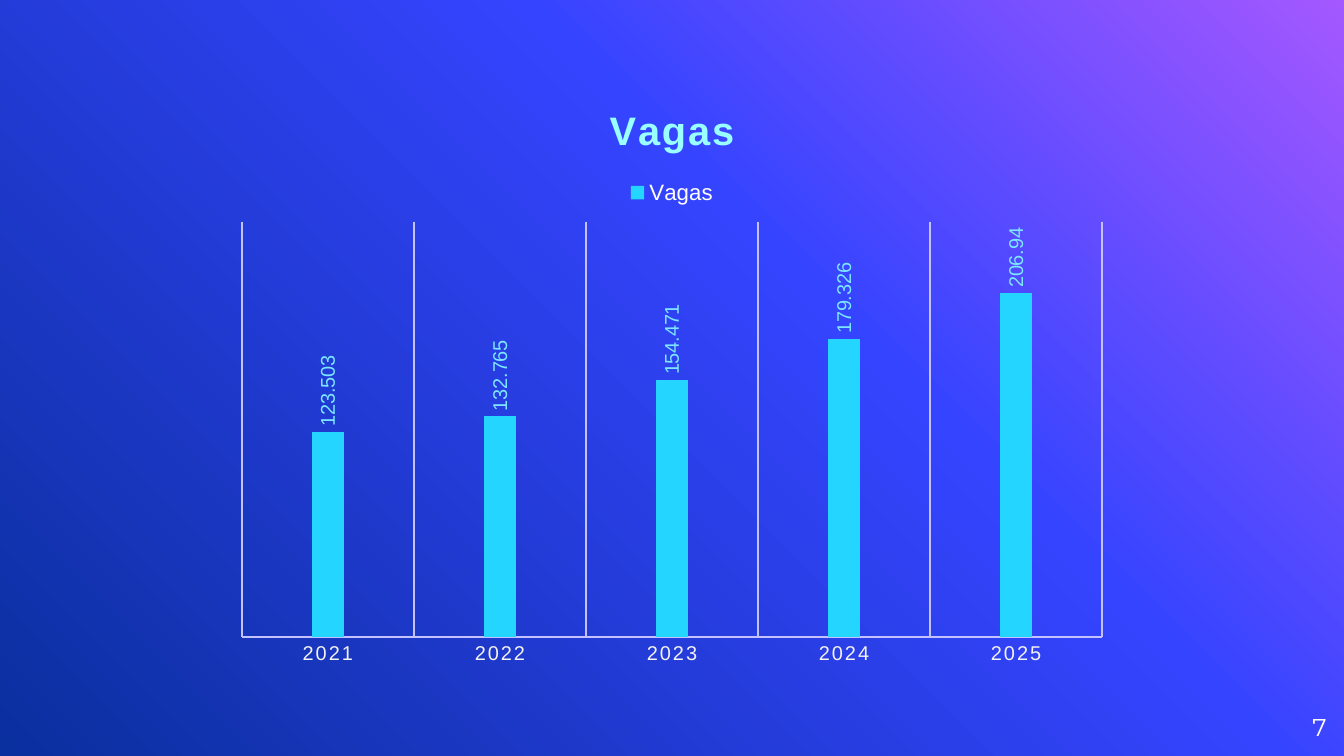
from copy import deepcopy
from dataclasses import dataclass

from pptx import Presentation
from pptx.chart.data import CategoryChartData
from pptx.dml.color import RGBColor
from pptx.enum.chart import (XL_CHART_TYPE, XL_LABEL_POSITION,
                             XL_LEGEND_POSITION, XL_TICK_LABEL_POSITION,
                             XL_TICK_MARK)
from pptx.enum.text import MSO_ANCHOR, PP_ALIGN
from pptx.oxml.ns import qn
from pptx.util import Pt


@dataclass(frozen=True)
class Theme:
    gradient: tuple = ((0, "A458FF"), (39, "3544FF"), (100, "0A2F9E"))
    white: str = "FFFFFF"
    base: str = "050060"
    bar: str = "24D6FF"
    value: str = "7CE6FF"
    title: str = "99FFFF"
    category: str = "F2F2F2"
    grid: str = "C4C1FF"
    chart_font: str = "Arial"
    page_font: str = "Montserrat"
    base_size: float = 10
    label_size: float = 10.7
    legend_size: float = 11.9
    page_size: float = 13
    title_size: float = 21.3
    spacing: str = "120"


def style_font(font, name, size, color, bold=False):
    font.name = name
    font.size = Pt(size)
    font.bold = bold
    font.color.rgb = RGBColor.from_string(color)


def write_text(text_frame, text, *, align=PP_ALIGN.LEFT, **font_format):
    paragraph = text_frame.paragraphs[0]
    paragraph.alignment = align
    run = paragraph.add_run()
    run.text = text
    style_font(run.font, **font_format)
    return run


class SlideBuilder:
    def __init__(self, slide, theme):
        self.slide = slide
        self.theme = theme

    def background(self):
        fill = self.slide.background.fill
        fill.gradient()
        fill.gradient_angle = 225
        stops = self.slide.element.find(".//" + qn("a:gsLst"))
        stops.insert(1, deepcopy(stops[0]))
        for stop, (position, color) in zip(fill.gradient_stops, self.theme.gradient):
            stop.position = position / 100
            stop.color.rgb = RGBColor.from_string(color)

    def page_number(self, text, left, top, width, height):
        text_frame = self.slide.shapes.add_textbox(left, top, width, height).text_frame
        text_frame.word_wrap = True
        text_frame.vertical_anchor = MSO_ANCHOR.MIDDLE
        text_frame.margin_left = text_frame.margin_right = 0
        text_frame.margin_top = text_frame.margin_bottom = 0
        write_text(text_frame, text, align=PP_ALIGN.RIGHT, name=self.theme.page_font,
                   size=self.theme.page_size, color=self.theme.white)

    def column_chart(self, name, values, left, top, width, height):
        theme = self.theme
        data = CategoryChartData()
        data.categories = list(values)
        data.add_series(name, values.values())
        chart = self.slide.shapes.add_chart(
            XL_CHART_TYPE.COLUMN_CLUSTERED, left, top, width, height, data).chart
        style_font(chart.font, theme.chart_font, theme.base_size, theme.base)

        # Title and legend
        chart.has_title = True
        title = write_text(chart.chart_title.text_frame, name, align=PP_ALIGN.CENTER,
                           name=theme.chart_font, size=theme.title_size,
                           color=theme.title, bold=True)
        title.font._element.set("spc", theme.spacing)
        chart.chart_title.include_in_layout = False
        chart.has_legend = True
        chart.legend.position = XL_LEGEND_POSITION.TOP
        chart.legend.include_in_layout = False
        style_font(chart.legend.font, theme.chart_font, theme.legend_size, theme.white)

        self.style_axes(chart)
        self.style_columns(chart.plots[0])

    def style_axes(self, chart):
        theme = self.theme
        category_axis = chart.category_axis
        category_axis.major_tick_mark = category_axis.minor_tick_mark = XL_TICK_MARK.NONE
        category_axis.tick_label_position = XL_TICK_LABEL_POSITION.NEXT_TO_AXIS
        category_axis.has_major_gridlines = True
        for line in (category_axis.format.line, category_axis.major_gridlines.format.line):
            line.color.rgb = RGBColor.from_string(theme.grid)
            line.width = Pt(0.75)
        font = category_axis.tick_labels.font
        style_font(font, theme.chart_font, theme.label_size, theme.category)
        font._element.set("spc", theme.spacing)

        value_axis = chart.value_axis
        value_axis.minimum_scale = 0
        value_axis.maximum_scale = 250
        value_axis.has_major_gridlines = False
        value_axis.major_tick_mark = value_axis.minor_tick_mark = XL_TICK_MARK.NONE
        value_axis.visible = False

    def style_columns(self, plot):
        theme = self.theme
        plot.vary_by_categories = False
        plot.gap_width = 444
        plot.overlap = -90
        series = plot.series[0]
        series.format.fill.solid()
        series.format.fill.fore_color.rgb = RGBColor.from_string(theme.bar)
        labels = series.data_labels
        labels.show_value = True
        labels.position = XL_LABEL_POSITION.OUTSIDE_END
        style_font(labels.font, theme.chart_font, theme.label_size, theme.value)
        # Turn the values to read upwards
        body = labels._element.find(".//" + qn("a:bodyPr"))
        body.set("rot", "-5400000")
        body.set("vert", "horz")


def main():
    presentation = Presentation()
    presentation.slide_width = Pt(720)
    presentation.slide_height = Pt(405)
    slide = presentation.slides.add_slide(presentation.slide_layouts[6])
    builder = SlideBuilder(slide, Theme())

    # Background and page number
    builder.background()
    builder.page_number("7", Pt(667.5), Pt(374), Pt(43.2), Pt(31))

    # Openings by year
    openings = {"2021": 123.503, "2022": 132.765, "2023": 154.471,
                "2024": 179.326, "2025": 206.94}
    builder.column_chart("Vagas", openings, Pt(120), Pt(42.5), Pt(480), Pt(320))

    presentation.save("out.pptx")


if __name__ == "__main__":
    main()
